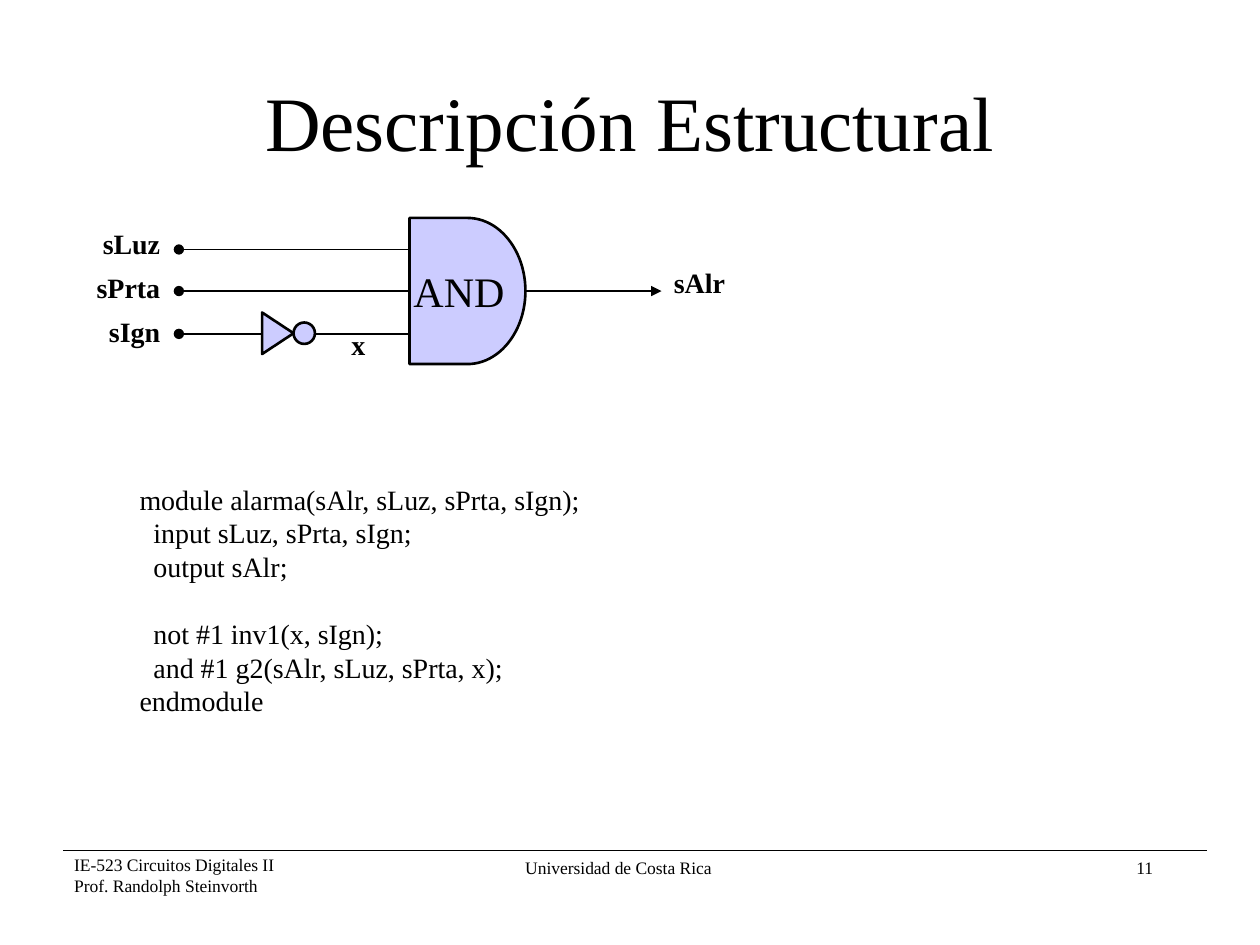
from lxml.etree import SubElement
from pptx import Presentation
from pptx.dml.color import RGBColor
from pptx.enum.shapes import MSO_CONNECTOR as Wire, MSO_SHAPE as Preset
from pptx.enum.text import MSO_ANCHOR as Anchor, PP_ALIGN as Align
from pptx.oxml.ns import qn
from pptx.util import Inches, Pt

BLACK, LILAC = "000000", "CCCCFF"
FONT = "Times New Roman"


def paint(color_format, color):
    color_format.rgb = RGBColor.from_string(color)


def write(frame, lines, size, bold=False, align=Align.LEFT, wrap=True):
    """Fill a text frame with one paragraph per line and return the paragraphs."""
    frame.word_wrap = wrap
    frame.text = "\n".join(lines)
    for para in frame.paragraphs:
        para.alignment = align
        para.font.name, para.font.size, para.font.bold = FONT, Pt(size), bold
        paint(para.font.color, BLACK)
    return frame.paragraphs


deck = Presentation()
deck.slide_width, deck.slide_height = Inches(10), Inches(7.5)
page = deck.slides.add_slide(deck.slide_layouts[5])
shapes = page.shapes

title = shapes.title
title.left, title.top = Inches(0.75), Inches(0.33)
title.width, title.height = Inches(8.5), Inches(1.25)
title.text_frame.vertical_anchor = Anchor.MIDDLE
write(title.text_frame, ["Descripción Estructural"], 44, align=Align.CENTER)

# Text boxes: left, top, width, height, lines, size, bold, alignment
code_lines = [
    "module alarma(sAlr, sLuz, sPrta, sIgn);",
    "input sLuz, sPrta, sIgn;",
    "output sAlr;",
    "not #1 inv1(x, sIgn);",
    "and #1 g2(sAlr, sLuz, sPrta, x);",
    "endmodule",
]
footer_lines = ["IE-523 Circuitos Digitales II", "Prof. Randolph Steinvorth"]
inputs = ["sLuz", "sPrta", "sIgn"]
paragraphs = {}
for name, left, top, width, height, lines, size, bold, align in [
    ("number", 8.25, 6.75, 1, 0.27, ["11"], 10, False, Align.RIGHT),
    ("course", 0.49, 6.73, 1.9, 0.44, footer_lines, 10, False, Align.LEFT),
    ("school", 4.07, 6.75, 1.75, 0.27, ["Universidad de Costa Rica"], 10, False, Align.LEFT),
    ("code", 1.01, 3.78, 3.8, 1.97, code_lines, 16, False, Align.LEFT),
    ("inputs", 0.57, 1.67, 0.8, 1.14, inputs, 16, True, Align.RIGHT),
    ("output", 5.25, 2.06, 0.7, 0.37, ["sAlr"], 16, True, Align.LEFT),
    ("inverted", 2.69, 2.55, 0.35, 0.37, ["x"], 16, True, Align.LEFT),
]:
    box = shapes.add_textbox(Inches(left), Inches(top), Inches(width), Inches(height))
    paragraphs[name] = write(box.text_frame, lines, size, bold, align)

for para in paragraphs["code"][1:-1]:
    para._p.get_or_add_pPr().set("marL", str(Inches(0.11)))
paragraphs["code"][3].space_before = Pt(19.2)
for para in paragraphs["inputs"]:
    para.line_spacing = Pt(25)
paragraphs["number"][0].space_before = Pt(6.2)

# Wires: start x, end x, y, arrowhead element and type
wires = []
for start, end, y, arrow in [
    (0.5, 9.58, 6.75, None),
    (1.42, 3.25, 1.98, ("a:headEnd", "oval")),
    (1.42, 3.25, 2.31, ("a:headEnd", "oval")),
    (1.42, 3.25, 2.65, ("a:headEnd", "oval")),
    (4.17, 5.25, 2.31, ("a:tailEnd", "triangle")),
]:
    wire = shapes.add_connector(Wire.STRAIGHT, Inches(start), Inches(y), Inches(end), Inches(y))
    wire.line.width = Pt(0.75)
    paint(wire.line.color, BLACK)
    if arrow:
        SubElement(wire.line._get_or_add_ln(), qn(arrow[0]), type=arrow[1])
    SubElement(wire._element.spPr, qn("a:effectLst"))
    wires.append(wire)

# Gate symbols: preset, left, top, width, height, rotation
symbols = []
for preset, left, top, width, height, rotation in [
    (Preset.FLOWCHART_DELAY, 3.25, 1.73, 0.92, 1.16, 0),
    (Preset.FLOWCHART_MERGE, 2.04, 2.52, 0.33, 0.25, 270),
    (Preset.FLOWCHART_CONNECTOR, 2.33, 2.56, 0.17, 0.17, 0),
]:
    symbol = shapes.add_shape(preset, Inches(left), Inches(top), Inches(width), Inches(height))
    symbol.rotation = rotation
    symbol.shadow.inherit = False
    symbol.fill.solid()
    paint(symbol.fill.fore_color, LILAC)
    symbol.line.width = Pt(1.5)
    paint(symbol.line.color, BLACK)
    symbols.append(symbol)

and_gate = symbols[0]
and_gate.text_frame.vertical_anchor = Anchor.MIDDLE
write(and_gate.text_frame, ["AND"], 24, align=Align.CENTER, wrap=False)
wires[2].end_connect(and_gate, 1)
wires[4].begin_connect(and_gate, 3)

deck.save("out.pptx")
